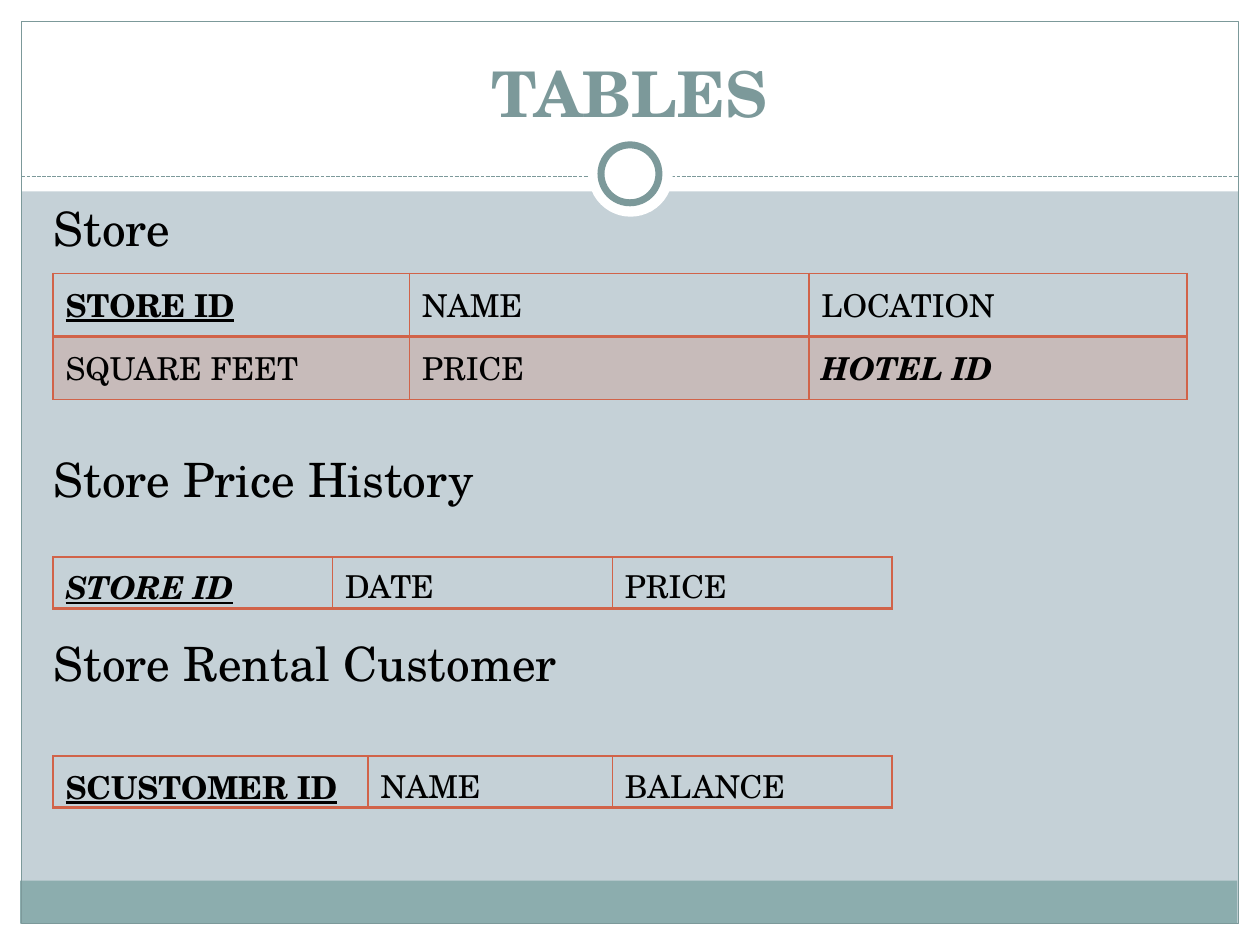
import pptx
import pptx.util
import pptx.dml.color
import pptx.enum.shapes
import pptx.enum.text
import pptx.oxml.ns
import lxml.etree

Inches = pptx.util.Inches
Pt = pptx.util.Pt
shapes = pptx.enum.shapes.MSO_SHAPE
anchors = pptx.enum.text.MSO_ANCHOR
qn = pptx.oxml.ns.qn
font = "TeX Gyre Schola"
hues = {"back": "C5D1D7", "white": "FFFFFF", "band": "8CADAE",
        "teal": "7C999A", "rust": "D16349", "black": "000000"}


def paint(fill, hue):
    fill.solid()
    fill.fore_color.rgb = pptx.dml.color.RGBColor.from_string(hues[hue])


def write(para, text, size, hue="black", style=""):
    run = para.add_run()
    run.text = text
    run.font.name = font
    run.font.size = Pt(size)
    run.font.bold = "b" in style
    run.font.italic = "i" in style
    run.font.underline = "u" in style
    paint(run.font.fill, hue)


deck = pptx.Presentation()
deck.slide_width = Inches(10)
deck.slide_height = Inches(7.5)
slide = deck.slides.add_slide(deck.slide_layouts[6])
paint(slide.background.fill, "back")

frame = [
    ("RECTANGLE", (0, 7.33, 10, 0.17), "white", 0),
    ("RECTANGLE", (0, 0, 10, 1.52), "white", 0),
    ("RECTANGLE", (0, 0, 0.17, 7.5), "white", 0),
    ("RECTANGLE", (9.83, 0, 0.17, 7.5), "white", 0),
    ("RECTANGLE", (0.16, 6.99, 9.66, 0.34), "band", 0),
    ("RECTANGLE", (0.17, 0.17, 9.66, 7.16), None, 0.75),
    ("LINE", (0.17, 1.4, 9.83, 1.4), None, 0.75),
    ("OVAL", (4.67, 1.05, 0.67, 0.67), "white", 0),
    ("OVAL", (4.77, 1.15, 0.46, 0.46), "white", 4),
]
for kind, place, hue, width in frame:
    spot = [Inches(n) for n in place]
    if kind == "LINE":
        part = slide.shapes.add_connector(
            pptx.enum.shapes.MSO_CONNECTOR.STRAIGHT, *spot)
        part.line.dash_style = pptx.enum.dml.MSO_LINE.SQUARE_DOT
        lxml.etree.SubElement(part.line._get_or_add_ln().getparent(),
                              qn("a:effectLst"))
    else:
        part = slide.shapes.add_shape(getattr(shapes, kind), *spot)
        part.shadow.inherit = False
        if hue:
            paint(part.fill, hue)
        else:
            part.fill.background()
    if width:
        paint(part.line.fill, "teal")
        part.line.width = Pt(width)
    else:
        part.line.fill.background()

title = slide.shapes.add_textbox(
    Inches(0.33), Inches(0.25), Inches(9.33), Inches(0.83)).text_frame
title.word_wrap = True
title.vertical_anchor = anchors.BOTTOM
title.paragraphs[0].alignment = pptx.enum.text.PP_ALIGN.CENTER
write(title.paragraphs[0], "TABLES", 36, "teal", "b")

body = slide.shapes.add_textbox(
    Inches(0.33), Inches(1.58), Inches(9.3), Inches(5.09)).text_frame
body.word_wrap = True
heads = [("Store", 0), ("Store Price History", 114.5),
         ("Store Rental Customer", 76)]
for text, gap in heads:
    para = body.add_paragraph() if gap else body.paragraphs[0]
    para.line_spacing = 0.9
    if gap:
        para.space_before = Pt(gap)
    write(para, text, 27)

grids = [
    (2.17, 0.5, (2.83, 3.17, 3), [
        [("STORE ID", "bu"), ("NAME", ""), ("LOCATION", "")],
        [("SQUARE FEET", ""), ("PRICE", ""), ("HOTEL ID", "bi")]]),
    (6, 0.41, (2.5, 1.94, 2.22), [
        [("SCUSTOMER ID", "bu"), ("NAME", ""), ("BALANCE", "")]]),
    (4.42, 0.41, (2.22, 2.22, 2.22), [
        [("STORE ID", "biu"), ("DATE", ""), ("PRICE", "")]]),
]
for top, height, widths, rows in grids:
    table = slide.shapes.add_table(
        len(rows), len(widths), Inches(0.42), Inches(top),
        Inches(sum(widths)), Inches(height * len(rows))).table
    table.first_row = False
    table.horz_banding = False
    for col, width in zip(table.columns, widths):
        col.width = Inches(width)
    for r, row in enumerate(rows):
        table.rows[r].height = Inches(height)
        for c, (text, style) in enumerate(row):
            cell = table.cell(r, c)
            write(cell.text_frame.paragraphs[0], text, 18, style=style)
            if len(rows) > 1:
                cell.vertical_anchor = anchors.MIDDLE
            props = cell._tc.get_or_add_tcPr()
            for side in "LRTB":
                thick = 2 if (r, side) in ((0, "B"), (1, "T")) else 1
                edge = lxml.etree.SubElement(
                    props, qn("a:ln" + side), w=str(Pt(thick)))
                ink = lxml.etree.SubElement(edge, qn("a:solidFill"))
                lxml.etree.SubElement(ink, qn("a:srgbClr"), val=hues["rust"])
            if r:
                paint(cell.fill, "rust")
                shade = props.find(qn("a:solidFill"))[0]
                lxml.etree.SubElement(shade, qn("a:alpha"), val="20000")
            else:
                cell.fill.background()

deck.save("out.pptx")
